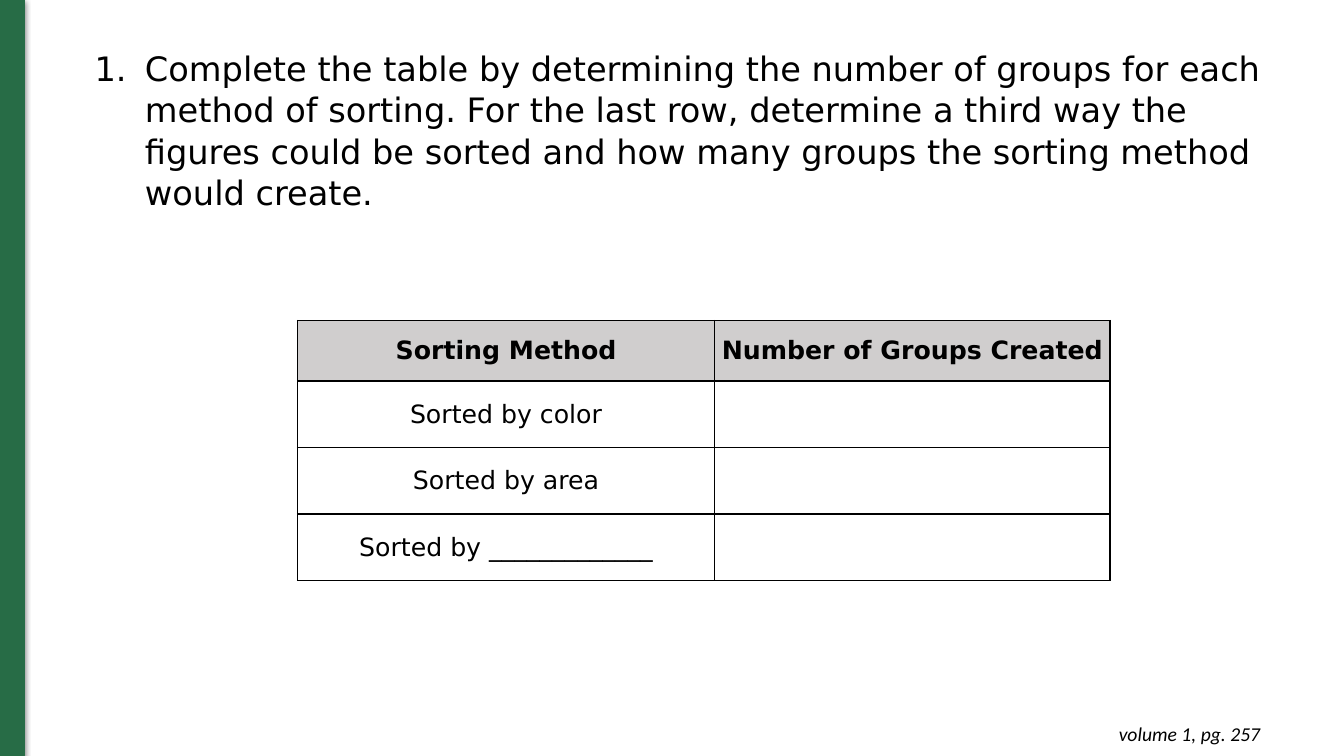
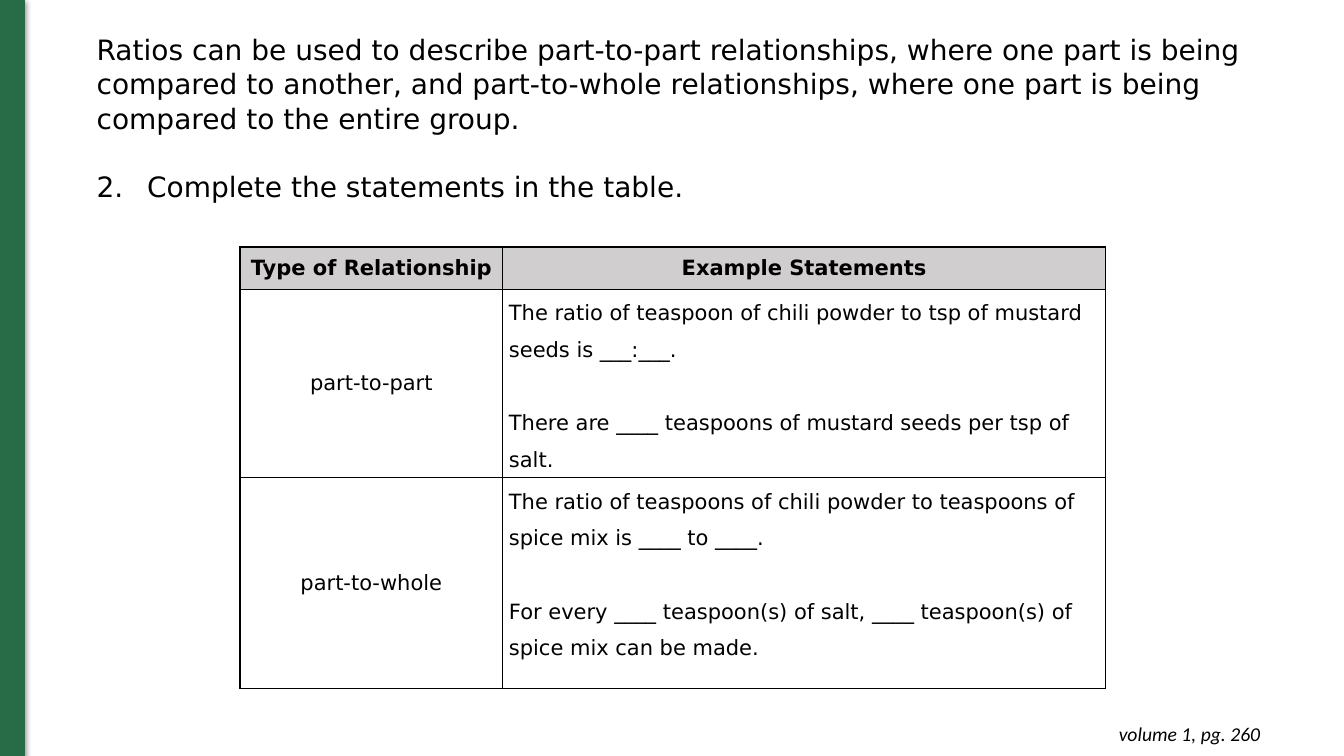
from dataclasses import dataclass

from lxml.etree import SubElement
from pptx import Presentation
from pptx.dml.color import RGBColor
from pptx.enum.shapes import MSO_SHAPE as Shape
from pptx.enum.text import MSO_ANCHOR as Anchor, PP_ALIGN as Align
from pptx.oxml.ns import qn
from pptx.util import Inches, Pt

GREEN = RGBColor(0x27, 0x6C, 0x46)
BLACK = RGBColor(0x00, 0x00, 0x00)
WHITE = RGBColor(0xFF, 0xFF, 0xFF)
HEADER_GREY = RGBColor(0xD0, 0xCE, 0xCE)
BODY_FONT, FOOTER_FONT = "DejaVu Sans", "Calibri"
SLIDE_W, SLIDE_H = Inches(13.33), Inches(7.5)
COLUMN, ROW = SLIDE_W / 100, SLIDE_H / 100


@dataclass
class Box:
    """A region measured on a grid of 100 columns by 100 rows."""
    left: float
    top: float
    width: float
    height: float

    def emu(self):
        """Return left, top, width and height as slide lengths."""
        return (round(self.left * COLUMN), round(self.top * ROW),
                round(self.width * COLUMN), round(self.height * ROW))


BAND = Box(0, 0, 1.8, 100)
FOOTER = Box(72.92, 94.2, 21.6, 5.8)


def add_color(parent, tag, color, alpha=None):
    """Add a child element holding a solid colour, and return it."""
    holder = SubElement(parent, qn(tag))
    value = SubElement(holder, qn("a:srgbClr"), val=str(color))
    if alpha:
        SubElement(value, qn("a:alpha"), val=str(alpha * 1000))
    return holder


def style(paragraph, size, align=Align.LEFT, font=BODY_FONT, bold=False, italic=False):
    """Set the alignment and font of a whole paragraph."""
    paragraph.alignment = align
    paragraph.font.name, paragraph.font.size = font, Pt(size)
    paragraph.font.bold, paragraph.font.italic = bold, italic
    paragraph.font.color.rgb = BLACK


def number(paragraph, start):
    """Give a paragraph an automatic number and a hanging indent."""
    properties = paragraph._p.get_or_add_pPr()
    properties.set("marL", str(Inches(0.5)))
    properties.set("indent", str(-Inches(0.5)))
    add_color(properties, "a:buClr", BLACK)
    SubElement(properties, qn("a:buAutoNum"), type="arabicPeriod", startAt=str(start))


def write(frame, texts, size, spacing, gap, numbered=None):
    """Write paragraphs set apart by a gap, numbering the last on request."""
    for index, text in enumerate(texts):
        paragraph = frame.paragraphs[0] if index == 0 else frame.add_paragraph()
        paragraph.text = text
        if numbered and index == len(texts) - 1:
            number(paragraph, numbered)
        paragraph.line_spacing = spacing
        if index:
            paragraph.space_before = Pt(gap)
        style(paragraph, size)


def draw_band(slide, box):
    """Draw the green side band with its soft shadow."""
    band = slide.shapes.add_shape(Shape.RECTANGLE, *box.emu())
    band.fill.solid()
    band.fill.fore_color.rgb = band.line.color.rgb = GREEN
    band.line.width = Pt(0.75)
    band.shadow.inherit = False
    effects = band._element.spPr.find(qn("a:effectLst"))
    shadow = add_color(effects, "a:outerShdw", BLACK, alpha=50)
    for name, value in (("blurRad", Pt(4.5)), ("dist", Pt(1.5)), ("dir", 90 * 60000)):
        shadow.set(name, str(value))


def draw_footer(slide, box, page):
    """Write the page reference at the lower right."""
    frame = slide.shapes.add_textbox(*box.emu()).text_frame
    frame.word_wrap = True
    frame.margin_top = frame.margin_bottom = Inches(0.1)
    reference = frame.paragraphs[0]
    reference.text = f"volume 1, pg. {page}"
    style(reference, 14, Align.RIGHT, FOOTER_FONT, italic=True)


def draw_prompt(slide, box, texts, size, question):
    """Write the task text, whose last paragraph is the numbered question."""
    frame = slide.shapes.add_textbox(*box.emu()).text_frame
    frame.word_wrap = True
    write(frame, texts, size, 1.03, size * 1.2, question)


def format_cell(cell, fill, inset):
    """Give a cell its borders, fill, margins and anchor."""
    properties = cell._tc.get_or_add_tcPr()
    for side in ("a:lnL", "a:lnR", "a:lnT", "a:lnB"):
        border = SubElement(properties, qn(side), w=str(Pt(1)))
        add_color(border, "a:solidFill", BLACK)
    cell.fill.solid()
    cell.fill.fore_color.rgb = fill
    cell.margin_left = cell.margin_right = Inches(inset)
    cell.margin_top = cell.margin_bottom = 0
    cell.vertical_anchor = Anchor.MIDDLE


def draw_table(slide, box, rows, column_shares, row_shares, size, inset):
    """Draw a bordered table; a list in a cell becomes open statements."""
    frame = slide.shapes.add_table(len(rows), len(rows[0]), *box.emu())
    table = frame.table
    table.first_row = table.horz_banding = False
    for column, share in zip(table.columns, column_shares):
        column.width = round(box.width * COLUMN * share / sum(column_shares))
    for row, share in zip(table.rows, row_shares):
        row.height = round(box.height * ROW * share / sum(row_shares))
    for row_index, row in enumerate(rows):
        header = row_index == 0
        for column_index, content in enumerate(row):
            cell = table.cell(row_index, column_index)
            format_cell(cell, HEADER_GREY if header else WHITE, inset)
            if isinstance(content, list):
                cell.vertical_anchor = Anchor.TOP
                write(cell.text_frame, content, size, 1.5, size * 1.75)
            else:
                cell.text = content
                style(cell.text_frame.paragraphs[0], size, Align.CENTER, bold=header)


def new_slide(deck, page):
    """Add a blank slide with the shared band and footer."""
    slide = deck.slides.add_slide(deck.slide_layouts[6])
    draw_band(slide, BAND)
    draw_footer(slide, FOOTER, page)
    return slide


def sorting_slide(deck):
    """Build the exercise on ways of sorting figures."""
    slide = new_slide(deck, 257)
    draw_prompt(slide, Box(6.3, 5.47, 89.12, 22.93), [
        "Complete the table by determining the number of groups for each method of "
        "sorting. For the last row, determine a third way the figures could be sorted "
        "and how many groups the sorting method would create."], 24, 1)
    rows = [["Sorting Method", "Number of Groups Created"],
            ["Sorted by color", ""],
            ["Sorted by area", ""],
            ["Sorted by _____________", ""]]
    draw_table(slide, Box(22.13, 42.4, 60.46, 34.4), rows,
               (4.14, 3.92), (0.6, 0.66, 0.66, 0.66), 18, 0.07)


def ratio_slide(deck):
    """Build the exercise on types of ratio relationship."""
    slide = new_slide(deck, 260)
    draw_prompt(slide, Box(6.45, 3.47, 88.07, 23.73), [
        "Ratios can be used to describe part-to-part relationships, where one part is "
        "being compared to another, and part-to-whole relationships, where one part is "
        "being compared to the entire group.",
        "Complete the statements in the table."], 20, 2)
    rows = [["Type of Relationship", "Example Statements"],
            ["part-to-part", [
                "The ratio of teaspoon of chili powder to tsp of mustard seeds is ___:___.",
                "There are ____ teaspoons of mustard seeds per tsp of salt."]],
            ["part-to-whole", [
                "The ratio of teaspoons of chili powder to teaspoons of spice mix is "
                "____ to ____.",
                "For every ____ teaspoon(s) of salt, ____ teaspoon(s) of spice mix can "
                "be made."]]]
    draw_table(slide, Box(17.85, 32.67, 64.4, 58.4), rows,
               (2.61, 5.98), (0.42, 1.87, 2.09), 15, 0.06)


def main():
    """Build and save the deck."""
    deck = Presentation()
    deck.slide_width, deck.slide_height = SLIDE_W, SLIDE_H
    sorting_slide(deck)
    ratio_slide(deck)
    deck.save("out.pptx")


if __name__ == "__main__":
    main()
